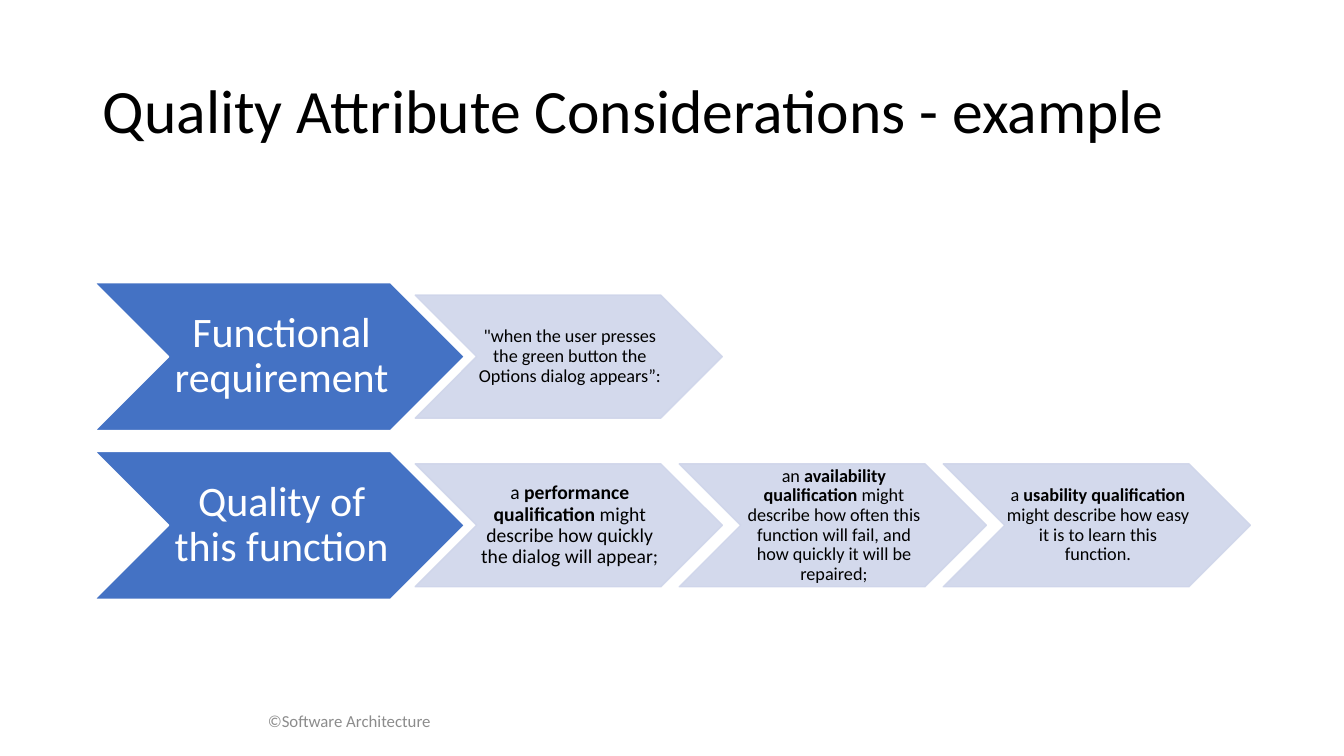
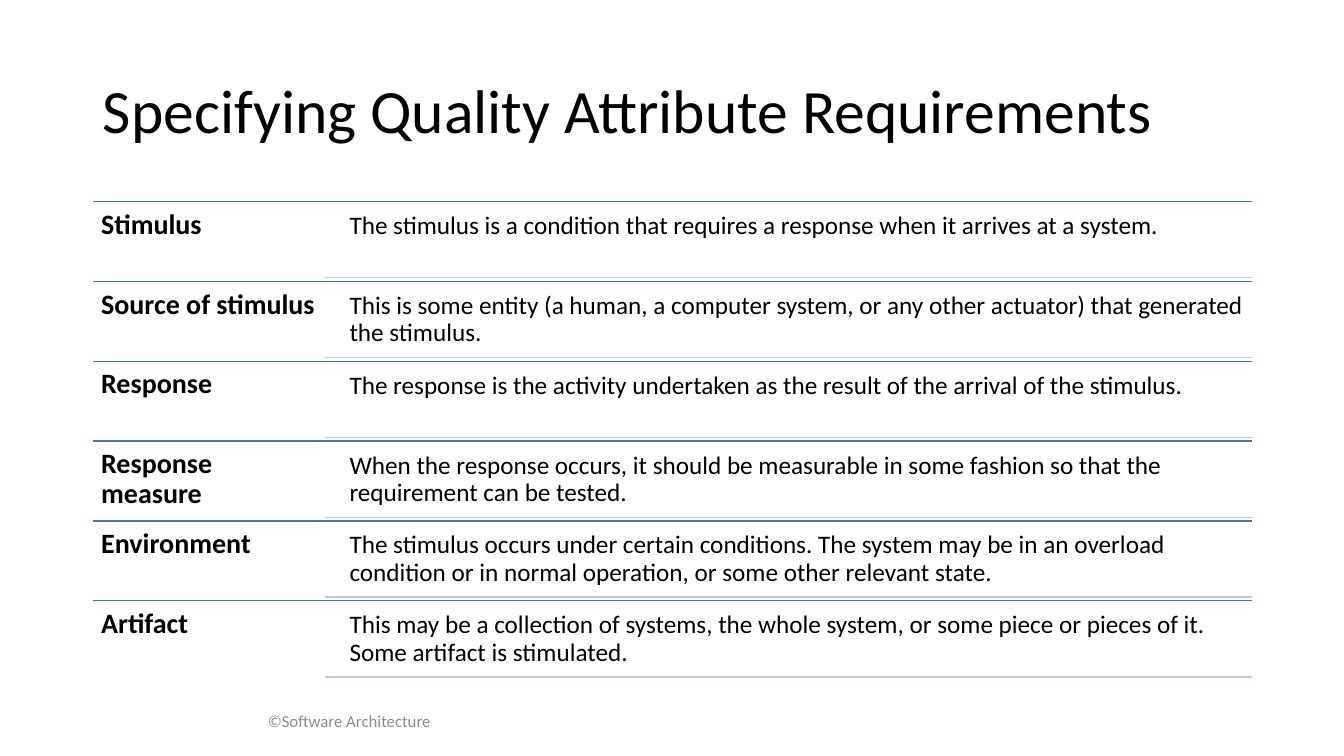
"""Build two slides on quality attributes: chevron rows and a ruled list."""
from pptx import Presentation
from pptx.dml.color import RGBColor
from pptx.enum import shapes, text
from pptx.oxml import parse_xml
from pptx.oxml.ns import nsdecls, qn
from pptx.util import Pt

HUES = {"ink": "000000", "white": "FFFFFF", "blue": "4472C4",
        "pale": "CFD5EA", "rule": "C1C9E4", "gray": "8C8C8C"}
FONT = "Calibri"
FOOTER = "©Software Architecture"
LEFT, WIDTH = 66.24, 828

FLOWS = [
    ("Functional requirement", [
        (13, ["\"when the user presses the green button the Options dialog appears”:"]),
    ]),
    ("Quality of this function", [
        (14, ["a ", "performance qualification ",
              "might describe how quickly the dialog will appear;"]),
        (13, ["an ", "availability qualification ",
              "might describe how often this function will fail, "
              "and how quickly it will be repaired;"]),
        (13, ["a ", "usability qualification ",
              "might describe how easy it is to learn this function."]),
    ]),
]

TERMS = [
    ("Stimulus", "The stimulus is a condition that requires a response "
     "when it arrives at a system."),
    ("Source of stimulus", "This is some entity (a human, a computer system, "
     "or any other actuator) that generated the stimulus."),
    ("Response", "The response is the activity undertaken as the result "
     "of the arrival of the stimulus."),
    ("Response measure", "When the response occurs, it should be measurable "
     "in some fashion so that the requirement can be tested."),
    ("Environment", "The stimulus occurs under certain conditions. The system may be "
     "in an overload condition or in normal operation, or some other relevant state."),
    ("Artifact", "This may be a collection of systems, the whole system, "
     "or some piece or pieces of it. Some artifact is stimulated."),
]


def color(name):
    return RGBColor.from_string(HUES[name])


def write(shape, parts, size, hue="ink", bold=False, center=False,
          space=0.9, pads=(7.2, 3.6, 7.2, 3.6), middle=True):
    """Fill a shape with one paragraph; every second part is bold."""
    frame = shape.text_frame
    frame.word_wrap = True
    frame.auto_size = text.MSO_AUTO_SIZE.NONE
    frame.vertical_anchor = text.MSO_ANCHOR.MIDDLE if middle else text.MSO_ANCHOR.TOP
    (frame.margin_left, frame.margin_top,
     frame.margin_right, frame.margin_bottom) = map(Pt, pads)
    para = frame.paragraphs[0]
    para.alignment = text.PP_ALIGN.CENTER if center else text.PP_ALIGN.LEFT
    para.line_spacing = space
    font = para.font
    font.name, font.size, font.bold = FONT, Pt(size), bold
    font.color.rgb = color(hue)
    for i, part in enumerate(parts):
        run = para.add_run()
        run.text = part
        if i % 2:
            run.font.bold = True


def add_box(slide, x, y, w, h, words, size, **style):
    box = slide.shapes.add_textbox(Pt(x), Pt(y), Pt(w), Pt(h))
    write(box, [words], size, **style)


def add_slide(deck, title):
    """Add a slide with the shared title and footer."""
    slide = deck.slides.add_slide(deck.slide_layouts[5])
    head = slide.shapes.title
    head.left, head.top, head.width, head.height = map(Pt, (LEFT, 28.8, WIDTH, 104.4))
    write(head, [title], 44)
    add_box(slide, 0, 500.4, 499, 28.8, FOOTER, 12, hue="gray", center=True, space=1)
    return slide


def add_arrow(slide, x, y, w, h, fill, edge, alpha=None):
    arrow = slide.shapes.add_shape(shapes.MSO_SHAPE.CHEVRON, Pt(x), Pt(y), Pt(w), Pt(h))
    arrow.shadow.inherit = False
    arrow.fill.solid()
    arrow.fill.fore_color.rgb = color(fill)
    arrow.line.color.rgb = color(edge)
    arrow.line.width = Pt(1)
    if alpha:
        for tone in arrow._element.spPr.iter(qn("a:srgbClr")):
            tone.append(parse_xml(f'<a:alpha {nsdecls("a")} val="{alpha * 1000}"/>'))
    return arrow


def add_rule(slide, x, y, hue):
    """Draw a level line from x to the right margin."""
    rule = slide.shapes.add_connector(
        shapes.MSO_CONNECTOR.STRAIGHT, Pt(x), Pt(y), Pt(LEFT + WIDTH), Pt(y))
    rule.line.color.rgb = color(hue)
    rule.line.width = Pt(1)
    rule._element.spPr.append(parse_xml(f'<a:effectLst {nsdecls("a")}/>'))


def draw_flows(slide):
    top, pitch = 201.9, 120.5
    wide, high = 264.2, 105.7
    first, step, w, h = 296.6, 188.6, 219.4, 87.8
    for row, (label, notes) in enumerate(FLOWS):
        y = top + row * pitch
        lead = add_arrow(slide, LEFT + 1.4, y, wide, high, "blue", "white")
        write(lead, [label], 30, hue="white", center=True, pads=(3, 1.5, 0, 1.5))
        for col, (size, parts) in enumerate(notes):
            note = add_arrow(slide, first + col * step, y + (high - h) / 2, w, h,
                             "pale", "pale", alpha=90)
            write(note, parts, size, center=True, pads=(1.5, 0.8, 0, 0.8))


def draw_terms(slide):
    top, pitch, key = 144, 57.03, 165.6
    gap, inset, high = 12.4, 2.6, 51.8
    for row, (term, words) in enumerate(TERMS):
        y = top + row * pitch
        add_rule(slide, LEFT, y, "blue")
        add_box(slide, LEFT, y, key, pitch, term, 20, bold=True,
                pads=[6] * 4, middle=False)
        add_box(slide, LEFT + key + gap, y + inset, WIDTH - key - gap, high,
                words, 18, pads=[5.4] * 4, middle=False)
        add_rule(slide, LEFT + key, y + inset + high, "rule")


def main():
    deck = Presentation()
    deck.slide_width, deck.slide_height = Pt(960), Pt(540)
    draw_flows(add_slide(deck, "Quality Attribute Considerations - example"))
    draw_terms(add_slide(deck, "Specifying Quality Attribute Requirements"))
    deck.save("out.pptx")


if __name__ == "__main__":
    main()
